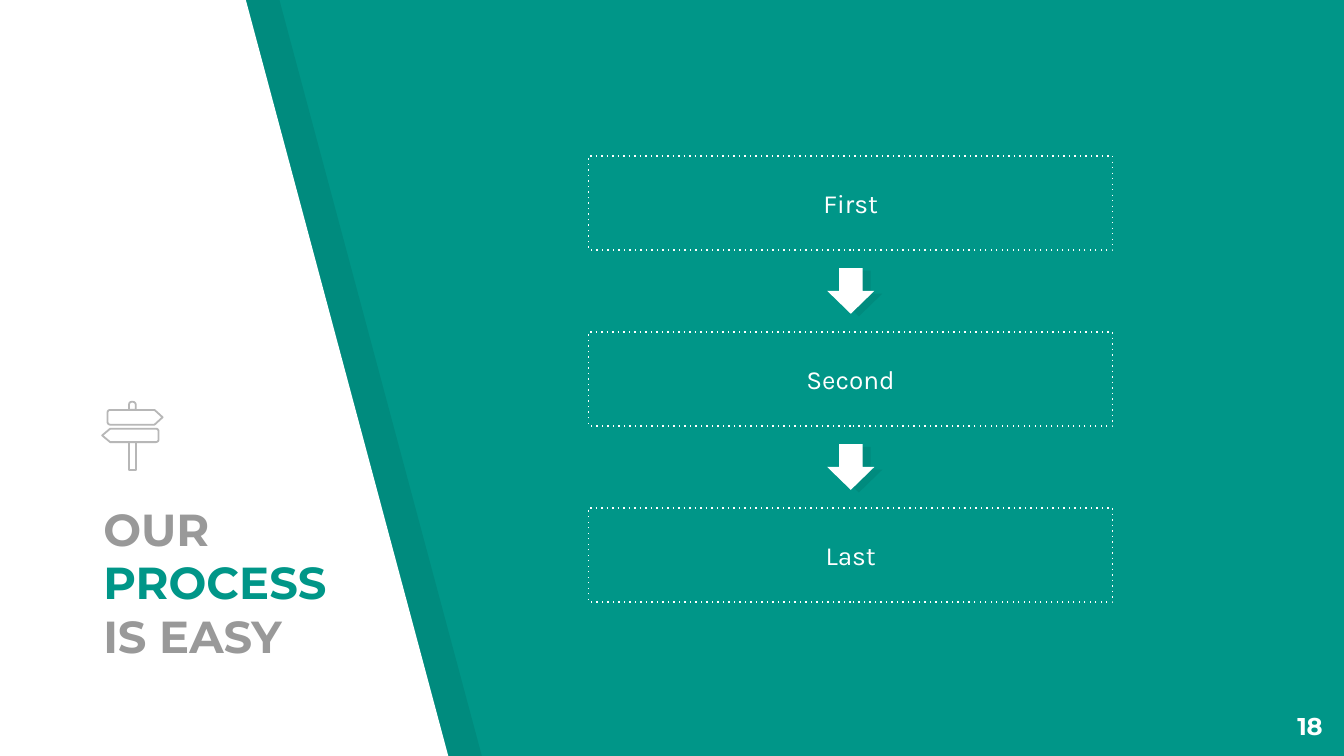
import math
from dataclasses import dataclass

from lxml import etree
from pptx import Presentation
from pptx import util as u
from pptx.dml.color import RGBColor
from pptx.enum import shapes, text
from pptx.oxml.ns import qn


@dataclass(frozen=True)
class Theme:
    teal: str = "009688"
    white: str = "FFFFFF"
    black: str = "000000"
    gray: str = "999999"
    icon: str = "B7B7B7"
    heading: str = "Montserrat"
    body: str = "Karla"
    title_size: int = 24
    step_size: int = 14
    number_size: int = 13
    shade: int = 7  # opacity of shadows, percent
    box_line: float = 0.75
    icon_line: float = 0.96


THEME = Theme()
WIDTH = 10
HEIGHT = WIDTH * 9 / 16
TITLE = [("OUR ", THEME.gray), ("PROCESS", THEME.teal), (" IS EASY", THEME.gray)]
STEPS = ["First", "Second", "Last"]
PAGE_NUMBER = "18"

# Left panel: corner points, and how far its shadow is moved right
PANEL = [(-0.02, -0.01), (-0.02, 5.64), (3.34, 5.64), (1.83, 0)]
PANEL_SHADOW = 0.25

# Column of steps
STEP_LEFT, STEP_TOP, STEP_WIDTH, STEP_HEIGHT, STEP_PITCH = 4.38, 1.16, 3.9, 0.7, 1.31
ARROW_WIDTH, ARROW_HEIGHT, ARROW_DROP = 0.34, 0.35, 0.83
ARROW_SHADOW = (0.06, 0.02)

# Signpost planks: left, top, right, bottom, points to the left
PLANKS = [(0.8, 3.05, 1.21, 3.16, False), (0.76, 3.19, 1.18, 3.29, True)]
PLANK_TIP, PLANK_RADIUS = 0.06, 0.02
POLE_LEFT, POLE_WIDTH = 0.96, 0.05


def color(value):
    return RGBColor.from_string(value)


def style(shape, fill=None, opacity=100, line=None, line_width=1):
    shape.shadow.inherit = False
    if fill:
        shape.fill.solid()
        shape.fill.fore_color.rgb = color(fill)
        if opacity < 100:
            fill_color = shape.fill._xPr.find(qn("a:solidFill"))[0]
            etree.SubElement(fill_color, qn("a:alpha"), val=str(opacity * 1000))
    else:
        shape.fill.background()
    if line:
        shape.line.color.rgb = color(line)
        shape.line.width = u.Pt(line_width)
    else:
        shape.line.fill.background()
    return shape


def add_preset(slide, kind, left, top, width, height, **look):
    box = [u.Inches(value) for value in (left, top, width, height)]
    return style(slide.shapes.add_shape(kind, *box), **look)


def add_outline(slide, points, **look):
    points = [(u.Inches(x), u.Inches(y)) for x, y in points]
    builder = slide.shapes.build_freeform(*points[0])
    builder.add_line_segments(points[1:], close=True)
    return style(builder.convert_to_shape(), **look)


def add_text(slide, left, top, width, height):
    box = slide.shapes.add_textbox(*[u.Inches(v) for v in (left, top, width, height)])
    return box.text_frame


def set_frame(frame, anchor, align, font, size, bold=False):
    """Lay out a one-paragraph frame and return the paragraph."""
    frame.word_wrap = True
    frame.vertical_anchor = anchor
    frame.margin_left = frame.margin_right = u.Inches(0.1)
    frame.margin_top = frame.margin_bottom = u.Inches(0.1)
    paragraph = frame.paragraphs[0]
    paragraph.alignment = align
    paragraph.font.name = font
    paragraph.font.size = u.Pt(size)
    paragraph.font.bold = bold
    return paragraph


def add_panel(slide):
    shadow = [(x + PANEL_SHADOW, y) for x, y in PANEL]
    add_outline(slide, shadow, fill=THEME.black, opacity=THEME.shade)
    add_outline(slide, PANEL, fill=THEME.white)


def add_title(slide):
    frame = add_text(slide, 0.67, 4.5, 1.88, 0.53)
    paragraph = set_frame(frame, text.MSO_ANCHOR.BOTTOM, text.PP_ALIGN.LEFT,
                          THEME.heading, THEME.title_size, bold=True)
    for words, shade in TITLE:
        run = paragraph.add_run()
        run.text = words
        run.font.color.rgb = color(shade)


def add_step(slide, label, top):
    shape = add_preset(slide, shapes.MSO_SHAPE.RECTANGLE, STEP_LEFT, top, STEP_WIDTH,
                       STEP_HEIGHT, line=THEME.white, line_width=THEME.box_line)
    outline = shape.line._get_or_add_ln()
    etree.SubElement(outline, qn("a:prstDash"), val="dot")
    paragraph = set_frame(shape.text_frame, text.MSO_ANCHOR.MIDDLE, text.PP_ALIGN.CENTER,
                          THEME.body, THEME.step_size)
    paragraph.text = label
    paragraph.font.color.rgb = color(THEME.white)


def add_arrow(slide, top):
    left = STEP_LEFT + (STEP_WIDTH - ARROW_WIDTH) / 2
    shift_x, shift_y = ARROW_SHADOW
    for x, y, fill, opacity in [(left + shift_x, top + shift_y, THEME.black, THEME.shade),
                                (left, top, THEME.white, 100)]:
        arrow = add_preset(slide, shapes.MSO_SHAPE.RIGHT_ARROW, x, y, ARROW_WIDTH,
                           ARROW_HEIGHT, fill=fill, opacity=opacity)
        arrow.rotation = 90


def plank_points(left, top, right, bottom, flipped):
    """Outline of a board with two round corners and a pointed end."""
    points = [(right - PLANK_TIP, bottom), (right, (top + bottom) / 2),
              (right - PLANK_TIP, top)]
    radius = PLANK_RADIUS
    for center_y, start in [(top + radius, 270), (bottom - radius, 180)]:
        for step in range(5):
            angle = math.radians(start - step * 22.5)
            points.append((left + radius + radius * math.cos(angle),
                           center_y + radius * math.sin(angle)))
    return [(left + right - x, y) for x, y in points] if flipped else points


def add_signpost(slide):
    look = {"line": THEME.icon, "line_width": THEME.icon_line}
    for plank in PLANKS:
        add_outline(slide, plank_points(*plank), **look)
    cap = add_preset(slide, shapes.MSO_SHAPE.ROUND_2_SAME_RECTANGLE,
                     POLE_LEFT, 2.99, POLE_WIDTH, 0.06, **look)
    cap.adjustments[0] = 0.4
    add_preset(slide, shapes.MSO_SHAPE.RECTANGLE, POLE_LEFT, 3.29, POLE_WIDTH, 0.21, **look)


def add_page_number(slide):
    frame = add_text(slide, 9.34, 5.19, 0.6, 0.43)
    paragraph = set_frame(frame, text.MSO_ANCHOR.TOP, text.PP_ALIGN.RIGHT,
                          THEME.heading, THEME.number_size, bold=True)
    paragraph.text = PAGE_NUMBER
    paragraph.font.color.rgb = color(THEME.white)


def main():
    presentation = Presentation()
    presentation.slide_width = u.Inches(WIDTH)
    presentation.slide_height = u.Inches(HEIGHT)
    slide = presentation.slides.add_slide(presentation.slide_layouts[6])
    slide.background.fill.solid()
    slide.background.fill.fore_color.rgb = color(THEME.teal)

    add_panel(slide)
    add_title(slide)
    for index, label in enumerate(STEPS):
        top = STEP_TOP + index * STEP_PITCH
        add_step(slide, label, top)
        if index < len(STEPS) - 1:
            add_arrow(slide, top + ARROW_DROP)
    add_signpost(slide)
    add_page_number(slide)
    presentation.save("out.pptx")


if __name__ == "__main__":
    main()
